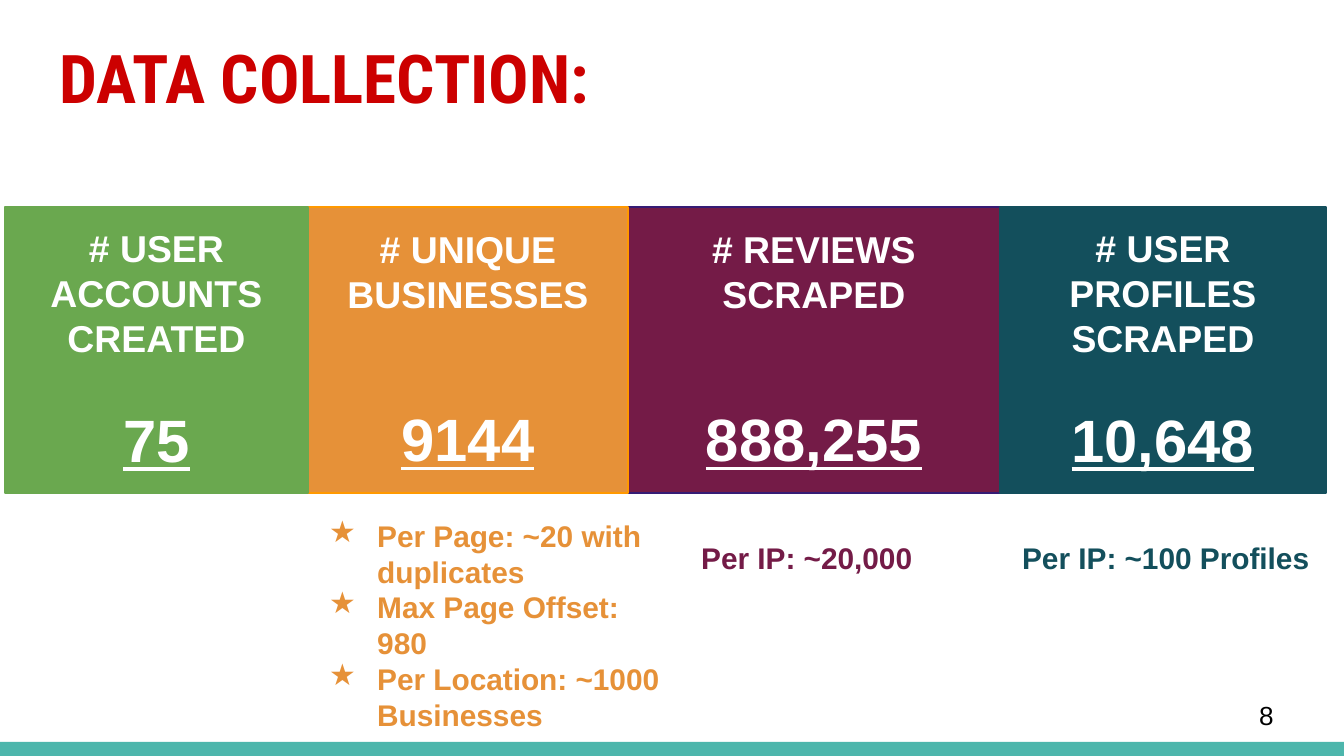
from lxml import etree
from pptx import Presentation
from pptx import util as u
from pptx.dml.color import RGBColor
from pptx.enum import shapes, text
from pptx.oxml.ns import qn

SCALE = 914400 / 134.4
WHITE = "FFFFFF"
CARDS = [
    (628, 372, "741B47", "351C75", "# REVIEWS SCRAPED", "888,255", 2),
    (1000, 326, "134F5C", "134F5C", "# USER PROFILES SCRAPED", "10,648", 1),
    (308, 320, "E69138", "FF9900", "# UNIQUE BUSINESSES", "9144", 2),
    (5, 303, "6AA84F", "6AA84F", "# USER ACCOUNTS CREATED", "75", 1),
]
LIMITS = ["Per Page: ~20 with duplicates", "Max Page Offset: 980",
          "Per Location: ~1000 Businesses"]


def px(n):
    """Turn px into EMU."""
    return u.Emu(round(n * SCALE))


def color(code):
    """Turn a hex string into a colour."""
    return RGBColor.from_string(code)


def style(para, size, code, bold=True, face="Arial", line=False):
    """Format the runs of a paragraph."""
    for run in para.runs:
        font = run.font
        font.name, font.size, font.bold = face, u.Pt(size), bold
        font.underline = line
        font.color.rgb = color(code)


def block(slide, box, fill, edge=None):
    """Draw a filled rectangle."""
    shape = slide.shapes.add_shape(shapes.MSO_SHAPE.RECTANGLE, *map(px, box))
    shape.shadow.inherit = False
    shape.fill.solid()
    shape.fill.fore_color.rgb = color(fill)
    if edge:
        shape.line.color.rgb = color(edge)
        shape.line.width = u.Pt(0.75)
    else:
        shape.line.fill.background()
    return shape


def inset(frame, anchor):
    """Set wrapping, margins and anchor of a text frame."""
    frame.word_wrap = True
    frame.margin_left = frame.margin_right = u.Inches(0.1)
    frame.margin_top = frame.margin_bottom = u.Inches(0.1)
    frame.vertical_anchor = anchor


def label(slide, box, words, size, code, anchor=text.MSO_ANCHOR.TOP, **look):
    """Place a text box and return its frame."""
    frame = slide.shapes.add_textbox(*map(px, box)).text_frame
    inset(frame, anchor)
    frame.text = words
    for para in frame.paragraphs:
        style(para, size, code, **look)
    return frame


def card(slide, box, fill, edge, name, count, gap):
    """Draw a card with its heading and an underlined count."""
    frame = block(slide, box, fill, edge).text_frame
    inset(frame, text.MSO_ANCHOR.MIDDLE)
    frame.text = name
    head, total = frame.paragraphs[0], frame.add_paragraph()
    total.text = count
    total.space_before = u.Pt(23 * gap)
    for para in (head, total):
        para.alignment = text.PP_ALIGN.CENTER
    style(head, 20, WHITE)
    style(total, 32, WHITE, line=True)


def stars(slide, box, items, code):
    """Place a list with star bullets."""
    frame = label(slide, box, "\n".join(items), 16, code)
    for para in frame.paragraphs:
        props = para._p.get_or_add_pPr()
        props.set("marL", str(px(67)))
        props.set("indent", str(-px(48)))
        tint = etree.SubElement(props, qn("a:buClr"))
        etree.SubElement(tint, qn("a:srgbClr"), val=code)
        etree.SubElement(props, qn("a:buChar"), char="★")


def main():
    """Build the slide and save it."""
    deck = Presentation()
    deck.slide_width, deck.slide_height = px(1344), px(756)
    slide = deck.slides.add_slide(deck.slide_layouts[6])
    block(slide, (0, 742, 1344, 14), "4DB6AC")
    label(slide, (46, 23, 1253, 90), "DATA COLLECTION:", 36, "CC0000",
          face="Roboto Condensed")
    label(slide, (1246, 686, 80, 58), "8", 14, "000000",
          anchor=text.MSO_ANCHOR.MIDDLE, bold=False)
    for left, width, *rest in CARDS:
        card(slide, (left, 207, width, 286), *rest)
    label(slide, (688, 526, 302, 58), "Per IP: ~20,000", 16, "741B47")
    label(slide, (1009, 526, 325, 58), "Per IP: ~100 Profiles", 16, "134F5C")
    stars(slide, (297, 504, 391, 239), LIMITS, "E69138")
    deck.save("out.pptx")


if __name__ == "__main__":
    main()
